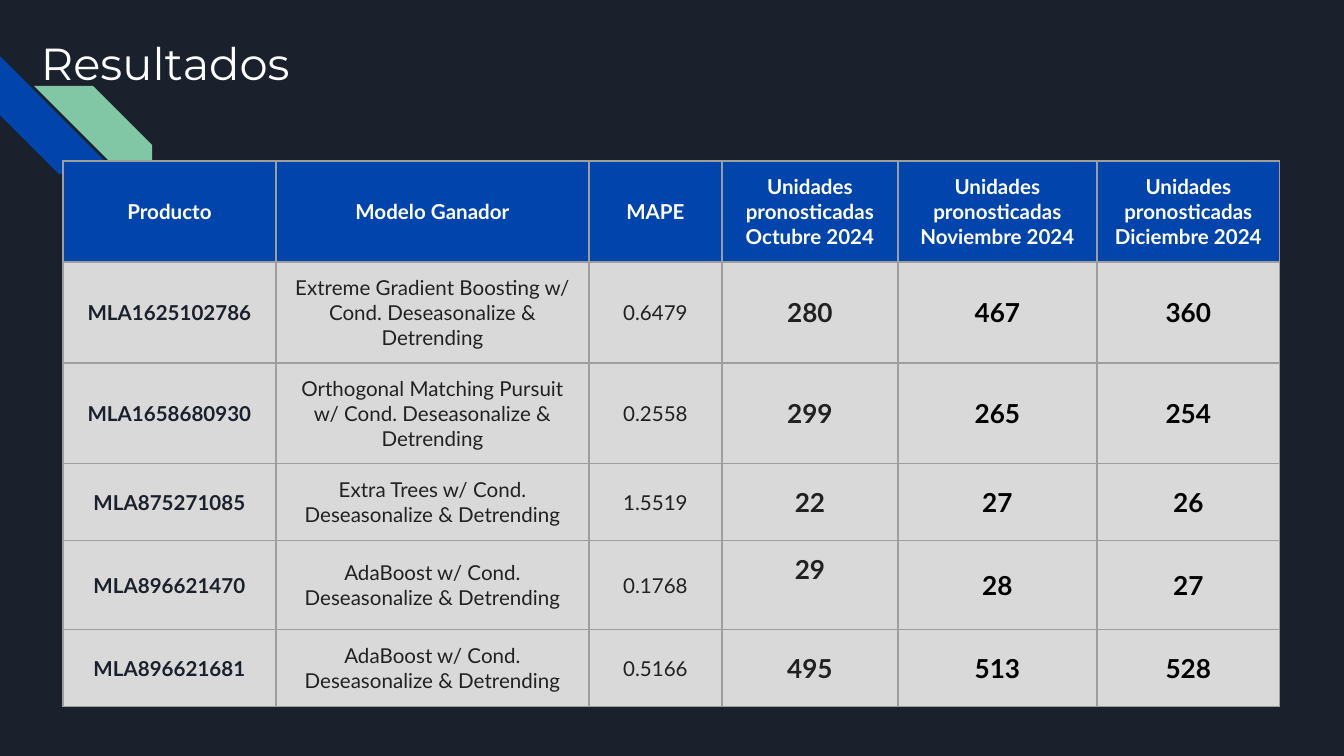
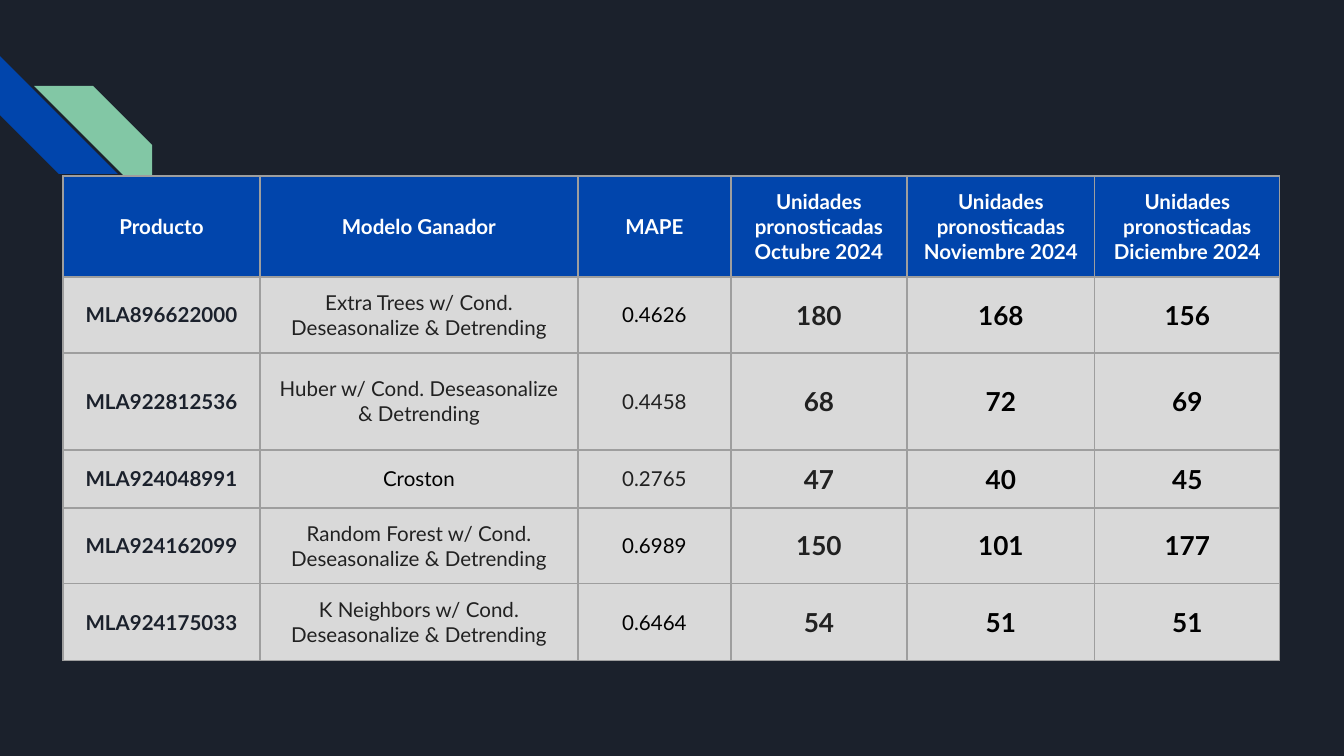
from pptx import Presentation
from pptx.dml.color import RGBColor
from pptx.enum.shapes import MSO_SHAPE
from pptx.enum.text import MSO_ANCHOR, PP_ALIGN
from pptx.oxml import parse_xml
from pptx.oxml.ns import nsdecls
from pptx.util import Pt

STRIPE = MSO_SHAPE.DIAGONAL_STRIPE
MIDDLE = MSO_ANCHOR.MIDDLE
CENTER = PP_ALIGN.CENTER


class Theme:
    navy = RGBColor.from_string("1B212C")
    blue = RGBColor.from_string("0145AC")
    green = RGBColor.from_string("82C7A5")
    white = RGBColor.from_string("FFFFFF")
    grey = RGBColor.from_string("D9D9D9")
    dark = RGBColor.from_string("212121")
    black = RGBColor.from_string("000000")
    border = "9E9E9E"
    title_font, body_font = "Montserrat", "Lato"
    title_size, body_size, units_size = Pt(24), Pt(11), Pt(14)
    border_width = Pt(0.75)


def px(value):
    return round(value * 914400 / 134.4)


def write(frame, text, font_name, size, color, bold=False):
    paragraph = frame.paragraphs[0]
    paragraph.text = text
    font = paragraph.font
    font.name, font.size, font.bold = font_name, size, bold
    font.color.rgb = color
    return paragraph


MARGIN = 13
TABLE_LEFT = 63
STRIPE_SIZE = 118
STRIPES = [(0, 56, 270, Theme.blue), (34, 86, 90, Theme.green)]
MONTHS = ["Octubre", "Noviembre", "Diciembre"]
HEADERS = ["Producto", "Modelo Ganador", "MAPE"] + [
    f"Unidades pronosticadas {month} 2024" for month in MONTHS
]
ADJUSTED = "w/ Cond. Deseasonalize & Detrending"
BLACK_TEXTS = {"Croston", "0.4626", "0.6989", "0.6464"}
RAISED_TEXT, RAISED_MARGIN = "29", 44

SLIDES = [
    {
        "title": "Resultados",
        "top": 161,
        "columns": [213, 313, 133, 176, 199, 183],
        "rows": [101, 101, 101, 77, 89, 77],
        "forecasts": [
            ("MLA1625102786", f"Extreme Gradient Boosting {ADJUSTED}", "0.6479", "280", "467", "360"),
            ("MLA1658680930", f"Orthogonal Matching Pursuit {ADJUSTED}", "0.2558", "299", "265", "254"),
            ("MLA875271085", f"Extra Trees {ADJUSTED}", "1.5519", "22", "27", "26"),
            ("MLA896621470", f"AdaBoost {ADJUSTED}", "0.1768", "29", "28", "27"),
            ("MLA896621681", f"AdaBoost {ADJUSTED}", "0.5166", "495", "513", "528"),
        ],
    },
    {
        "title": None,
        "top": 176,
        "columns": [197, 318, 153, 176, 188, 185],
        "rows": [101, 76, 97, 58, 76, 77],
        "forecasts": [
            ("MLA896622000", f"Extra Trees {ADJUSTED}", "0.4626", "180", "168", "156"),
            ("MLA922812536", f"Huber {ADJUSTED}", "0.4458", "68", "72", "69"),
            ("MLA924048991", "Croston", "0.2765", "47", "40", "45"),
            ("MLA924162099", f"Random Forest {ADJUSTED}", "0.6989", "150", "101", "177"),
            ("MLA924175033", f"K Neighbors {ADJUSTED}", "0.6464", "54", "51", "51"),
        ],
    },
]

presentation = Presentation()
presentation.slide_width, presentation.slide_height = px(1344), px(756)

for content in SLIDES:
    slide = presentation.slides.add_slide(presentation.slide_layouts[6])
    slide.background.fill.solid()
    slide.background.fill.fore_color.rgb = Theme.navy

    for left, top, rotation, color in STRIPES:
        stripe = slide.shapes.add_shape(STRIPE, px(left), px(top), px(STRIPE_SIZE), px(STRIPE_SIZE))
        stripe.rotation = rotation
        stripe.shadow.inherit = False
        stripe.fill.solid()
        stripe.fill.fore_color.rgb = color
        stripe.line.fill.background()

    if content["title"]:
        title = slide.shapes.add_textbox(px(28), px(20), px(1253), px(85))
        frame = title.text_frame
        frame.word_wrap = True
        frame.vertical_anchor = MIDDLE
        frame.margin_left = frame.margin_right = px(MARGIN)
        frame.margin_top = frame.margin_bottom = px(MARGIN)
        write(frame, content["title"], Theme.title_font, Theme.title_size, Theme.white)

    columns, rows = content["columns"], content["rows"]
    table = slide.shapes.add_table(
        len(rows), len(columns), px(TABLE_LEFT), px(content["top"]), px(sum(columns)), px(sum(rows))
    ).table
    table.horz_banding = False
    for column, width in zip(table.columns, columns):
        column.width = px(width)
    for row, height in zip(table.rows, rows):
        row.height = px(height)

    for row_index, texts in enumerate([HEADERS] + content["forecasts"]):
        for column_index, text in enumerate(texts):
            is_header = row_index == 0
            is_units = column_index >= 3 and not is_header
            if is_header:
                color = Theme.white
            elif column_index == 0:
                color = Theme.navy
            elif column_index > 3 or text in BLACK_TEXTS:
                color = Theme.black
            else:
                color = Theme.dark

            cell = table.cell(row_index, column_index)
            cell.vertical_anchor = MIDDLE
            cell.margin_left = cell.margin_right = px(MARGIN)
            cell.margin_top = px(MARGIN)
            cell.margin_bottom = px(RAISED_MARGIN if text == RAISED_TEXT else MARGIN)
            for side in ("lnL", "lnR", "lnT", "lnB"):
                cell._tc.get_or_add_tcPr().append(parse_xml(
                    f'<a:{side} {nsdecls("a")} w="{Theme.border_width}"><a:solidFill>'
                    f'<a:srgbClr val="{Theme.border}"/></a:solidFill></a:{side}>'
                ))
            cell.fill.solid()
            cell.fill.fore_color.rgb = Theme.blue if is_header else Theme.grey
            size = Theme.units_size if is_units else Theme.body_size
            bold = is_header or is_units or column_index == 0
            paragraph = write(cell.text_frame, text, Theme.body_font, size, color, bold)
            paragraph.alignment = CENTER

presentation.save("out.pptx")
